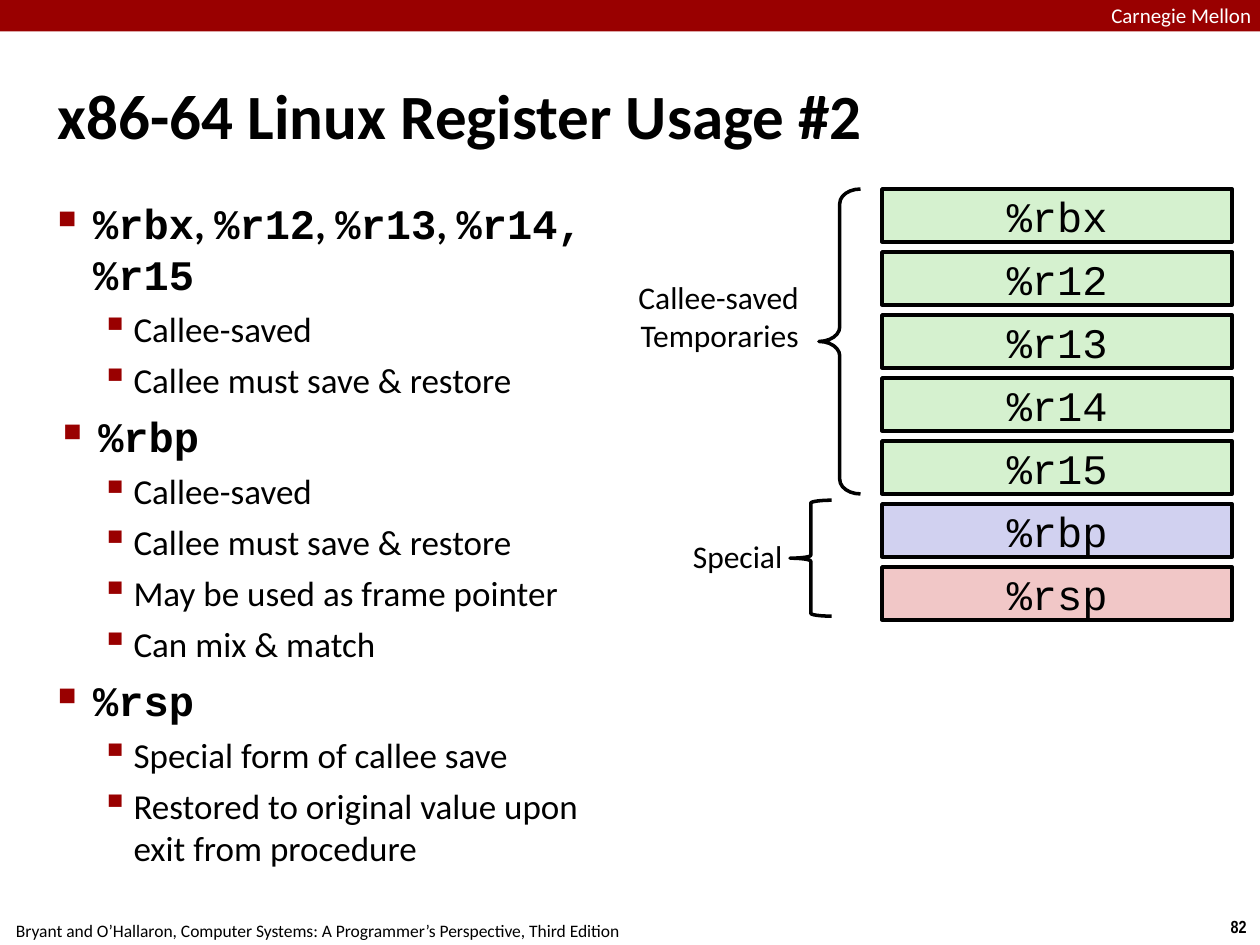
"""Build the slide on callee-saved and special x86-64 Linux registers."""
import lxml.etree
import pptx
import pptx.dml.color
import pptx.enum.shapes
import pptx.enum.text
import pptx.oxml.ns
import pptx.util

Inches = pptx.util.Inches
Pt = pptx.util.Pt
Align = pptx.enum.text.PP_ALIGN
Anchor = pptx.enum.text.MSO_ANCHOR
Shape = pptx.enum.shapes.MSO_SHAPE

theme = {
    "color": {
        name: pptx.dml.color.RGBColor.from_string(code)
        for name, code in {
            "black": "000000", "white": "FFFFFF", "red": "990000",
            "green": "D5F1CF", "blue": "D1D1F0", "pink": "F1C7C7",
        }.items()
    },
    "size": {"title": 36, "head": 24, "item": 20, "label": 18, "brand": 12, "foot": 10},
    "font": {"text": "Calibri", "code": "Courier New", "page": "Arial Narrow"},
}


def write(para, text, size, font="text", color="black", bold=False):
    run = para.add_run()
    run.text = text
    run.font.size = Pt(theme["size"][size])
    run.font.name = theme["font"][font]
    run.font.color.rgb = theme["color"][color]
    run.font.bold = bold


def setup(frame, pad_x, pad_y, wrap=True, anchor=Anchor.TOP):
    frame.margin_left = frame.margin_right = Inches(pad_x)
    frame.margin_top = frame.margin_bottom = Inches(pad_y)
    frame.word_wrap = wrap
    frame.vertical_anchor = anchor


deck = pptx.Presentation()
deck.slide_width = Inches(10)
deck.slide_height = Inches(7.5)
slide = deck.slides.add_slide(deck.slide_layouts[6])
shapes = slide.shapes

band = shapes.add_shape(Shape.RECTANGLE, 0, 0, Inches(10.01), Inches(0.25))
band.shadow.inherit = False
band.fill.solid()
band.fill.fore_color.rgb = theme["color"]["red"]
band.line.fill.background()

texts = [
    ((9.66, 7.22, 0.34, 0.27), (0.1, 0.05, False), Align.CENTER,
     ["82"], ("foot", "page", "black", True)),
    ((-0.02, 7.25, 5.08, 0.27), (0.1, 0.05, False), Align.CENTER,
     ["Bryant and O’Hallaron, Computer Systems: A Programmer’s Perspective, Third Edition"],
     ("foot",)),
    ((8.82, 0.02, 1.44, 0.19), (0, 0), Align.LEFT,
     ["Carnegie Mellon"], ("brand", "text", "white")),
    ((0.42, 0.28, 6.58, 1.25), (0.04, 0.04, True, Anchor.MIDDLE), Align.LEFT,
     ["x86-64 Linux Register Usage #2"], ("title", "text", "black", True)),
    ((5, 2.17, 1.38, 0.69), (0.04, 0.04, False), Align.RIGHT,
     ["Callee-saved", "Temporaries"], ("label",)),
    ((5.42, 4.22, 0.83, 0.39), (0.04, 0.04, False), Align.RIGHT,
     ["Special"], ("label",)),
]
for place, layout, align, lines, style in texts:
    frame = shapes.add_textbox(*map(Inches, place)).text_frame
    setup(frame, *layout)
    for i, line in enumerate(lines):
        para = frame.add_paragraph() if i else frame.paragraphs[0]
        para.alignment = align
        write(para, line, *style)

groups = [
    (0.28, [("%rbx", "code"), (", ", "text"), ("%r12", "code"), (", ", "text"),
            ("%r13", "code"), (", ", "text"), ("%r14, %r15", "code")],
     ["Callee-saved", "Callee must save & restore"]),
    (0.32, [("%rbp", "code")],
     ["Callee-saved", "Callee must save & restore",
      "May be used as frame pointer", "Can mix & match"]),
    (0.28, [("%rsp", "code")],
     ["Special form of callee save",
      "Restored to original value upon exit from procedure"]),
]
rows = []
for left, head, items in groups:
    rows.append((0, left, -0.28, 6, "■", 60, "head", head))
    rows += [(1, 0.6, -0.26, 5, "▪", 110, "item", [(item, "text")]) for item in items]

body = shapes.add_textbox(Inches(0.42), Inches(1.53), Inches(4.44), Inches(4.81)).text_frame
setup(body, 0.04, 0.04)
for i, (level, left, hang, gap, mark, scale, size, parts) in enumerate(rows):
    para = body.add_paragraph() if i else body.paragraphs[0]
    para.level = level
    props = para._p.get_or_add_pPr()
    props.set("marL", str(Inches(left)))
    props.set("indent", str(Inches(hang)))
    tint = lxml.etree.SubElement(props, pptx.oxml.ns.qn("a:buClr"))
    lxml.etree.SubElement(tint, pptx.oxml.ns.qn("a:srgbClr"), val=str(theme["color"]["red"]))
    lxml.etree.SubElement(props, pptx.oxml.ns.qn("a:buSzPct"), val=str(scale * 1000))
    lxml.etree.SubElement(props, pptx.oxml.ns.qn("a:buChar"), char=mark)
    if i:
        para.space_before = Pt(gap)
    for text, font in parts:
        write(para, text, size, font, bold=level == 0)

cells = [(name, "green") for name in ("%rbx", "%r12", "%r13", "%r14", "%r15")]
cells += [("%rbp", "blue"), ("%rsp", "pink")]
for i, (name, color) in enumerate(cells):
    cell = shapes.add_shape(
        Shape.RECTANGLE, Inches(7), Inches(1.5 + 0.5 * i), Inches(2.78), Inches(0.42))
    cell.shadow.inherit = False
    cell.fill.solid()
    cell.fill.fore_color.rgb = theme["color"][color]
    cell.line.color.rgb = theme["color"]["black"]
    cell.line.width = Pt(2)
    setup(cell.text_frame, 0, 0, anchor=Anchor.MIDDLE)
    para = cell.text_frame.paragraphs[0]
    para.alignment = Align.CENTER
    write(para, name, "head", "code")

for left, top, height, curve in [(6.5, 1.5, 2.42, 0.35), (6.27, 3.97, 0.92, 0.07)]:
    brace = shapes.add_shape(
        Shape.LEFT_BRACE, Inches(left), Inches(top), Inches(0.33), Inches(height))
    brace.adjustments[0] = curve
    brace.shadow.inherit = False
    brace.fill.background()
    brace.line.color.rgb = theme["color"]["black"]
    brace.line.width = Pt(2)

deck.save("out.pptx")
